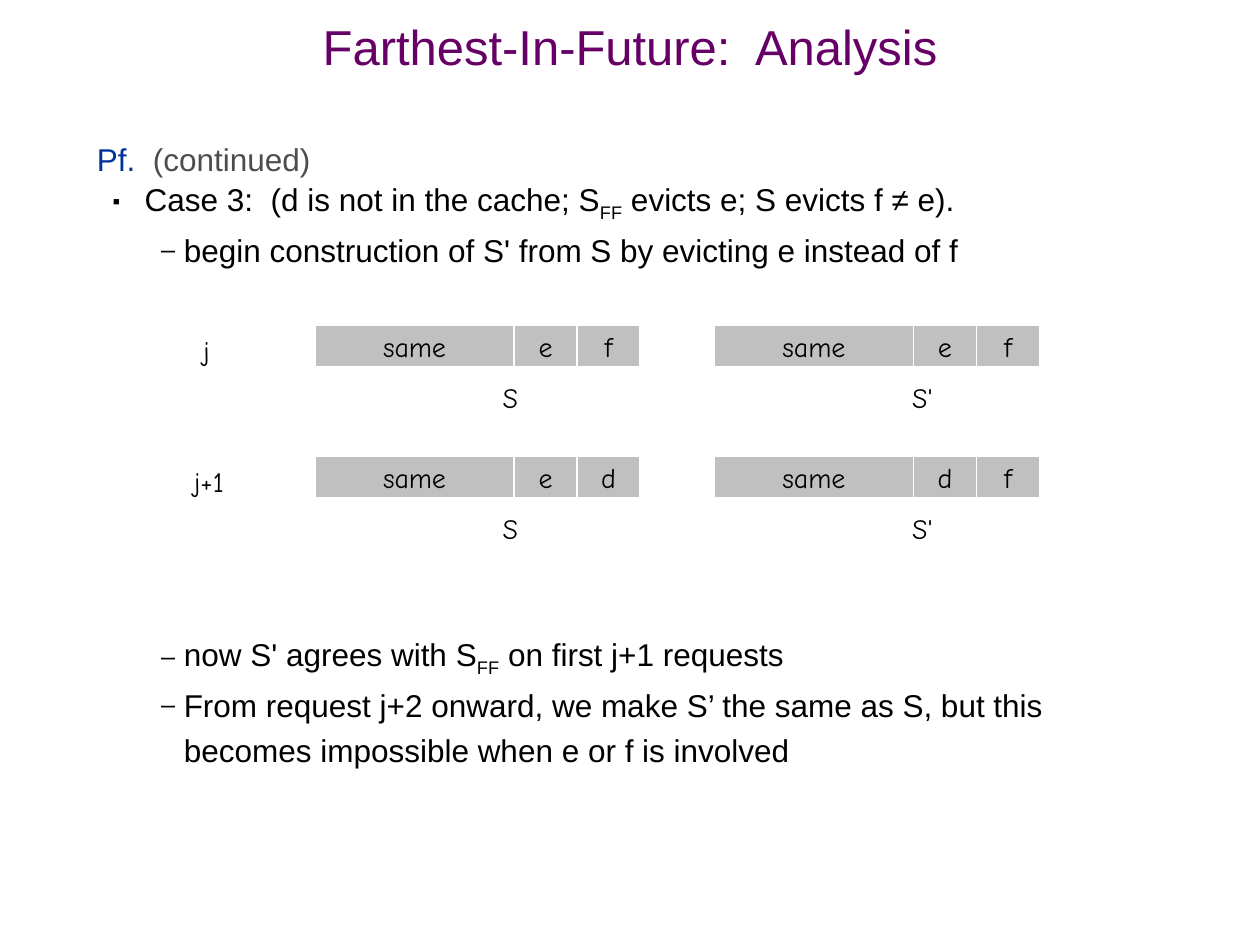
from dataclasses import dataclass

import pptx
import pptx.dml.color
import pptx.enum.shapes
import pptx.enum.text
import pptx.oxml.ns
import pptx.util
from lxml import etree
from pptx.util import Inches


def rgb(value):
    return pptx.dml.color.RGBColor.from_string(value)


@dataclass(frozen=True)
class Theme:
    body_font: str = "Arial"
    diagram_font: str = "Comic Neue"
    title_size: int = 28
    body_size: int = 18
    diagram_size: int = 16
    line_spacing: int = 26
    title: str = "660066"
    keyword: str = "003399"
    muted: str = "4D4D4D"
    text: str = "000000"
    cell: str = "C0C0C0"
    white: str = "FFFFFF"


THEME = Theme()

# Bullet character, size in percent, left margin and first-line indent in inches
CASE_BULLET = ("■", 35, 0.38, -0.25)
STEP_BULLET = ("–", 80, 0.69, -0.18)

CELL_WIDTHS = (1.58, 0.5, 0.5)
CELL_HEIGHT = 0.33
LABEL_HEIGHT = 0.41
LABEL_DROP = 0.39


def format_run(run, font, size, color):
    run.font.name = font
    run.font.size = pptx.util.Pt(size)
    run.font.color.rgb = rgb(color)


def set_diagram_text(shape, text):
    shape.text_frame.text = text
    shape.text_frame.word_wrap = False
    format_run(shape.text_frame.paragraphs[0].runs[0],
               THEME.diagram_font, THEME.diagram_size, THEME.text)


def add_title(slide, text):
    title = slide.shapes.title
    title.left, title.top = Inches(0), Inches(0.17)
    title.width, title.height = Inches(10), Inches(0.5)
    title.text_frame.text = text
    title.text_frame.auto_size = pptx.enum.text.MSO_AUTO_SIZE.NONE
    title.text_frame.vertical_anchor = pptx.enum.text.MSO_ANCHOR.MIDDLE
    paragraph = title.text_frame.paragraphs[0]
    paragraph.alignment = pptx.enum.text.PP_ALIGN.CENTER
    paragraph.line_spacing = 0.7
    format_run(paragraph.runs[0], THEME.body_font, THEME.title_size, THEME.title)


def set_bullet(paragraph, bullet):
    character, percent, margin, indent = bullet
    qn = pptx.oxml.ns.qn
    properties = paragraph._p.get_or_add_pPr()
    properties.set("marL", str(Inches(margin)))
    properties.set("indent", str(Inches(indent)))
    color = etree.SubElement(properties, qn("a:buClr"))
    etree.SubElement(color, qn("a:srgbClr"), val=THEME.text)
    etree.SubElement(properties, qn("a:buSzPct"), val=str(percent * 1000))
    etree.SubElement(properties, qn("a:buFont"), typeface=THEME.body_font)
    etree.SubElement(properties, qn("a:buChar"), char=character)


def write_paragraph(paragraph, parts, bullet=None, lines_before=0):
    """Write (text, color, is_subscript) parts as the runs of one paragraph."""
    paragraph.line_spacing = pptx.util.Pt(THEME.line_spacing)
    paragraph.space_before = pptx.util.Pt(lines_before * THEME.line_spacing)
    if bullet:
        set_bullet(paragraph, bullet)
    for text, color, is_subscript in parts:
        run = paragraph.add_run()
        run.text = text
        format_run(run, THEME.body_font, THEME.body_size, color)
        if is_subscript:
            run.font._element.set("baseline", "-25000")


def plain(text):
    return (text, THEME.text, False)


def add_proof(slide):
    subscript = ("FF", THEME.text, True)
    proof = [
        ([("Pf.  ", THEME.keyword, False), ("(continued)", THEME.muted, False)],),
        ([plain("Case 3:  (d is not in the cache; S"), subscript,
          plain(" evicts e; S evicts f ≠ e).")], CASE_BULLET),
        ([plain("begin construction of S' from S by evicting e instead of f")],
         STEP_BULLET),
        ([plain("now S' agrees with S"), subscript,
          plain(" on first j+1 requests")], STEP_BULLET, 8),
        ([plain("From request j+2 onward, we make S’ the same as S, but this "
                "becomes impossible when e or f is involved")], STEP_BULLET),
    ]
    box = slide.shapes.add_textbox(Inches(0.67), Inches(1), Inches(8.58), Inches(5.92))
    frame = box.text_frame
    frame.word_wrap = True
    for index, content in enumerate(proof):
        paragraph = frame.add_paragraph() if index else frame.paragraphs[0]
        write_paragraph(paragraph, *content)


def add_label(slide, text, left, top, width):
    box = slide.shapes.add_textbox(Inches(left), Inches(top),
                                   Inches(width), Inches(LABEL_HEIGHT))
    set_diagram_text(box, text)
    return box


def add_step_label(slide, text, top, width):
    box = add_label(slide, text, 1.44, top, width)
    box.fill.solid()
    box.fill.fore_color.rgb = rgb(THEME.white)


def add_cell(slide, text, left, top, width):
    cell = slide.shapes.add_shape(
        pptx.enum.shapes.MSO_SHAPE.RECTANGLE,
        Inches(left), Inches(top), Inches(width), Inches(CELL_HEIGHT))
    cell.shadow.inherit = False
    cell.fill.solid()
    cell.fill.fore_color.rgb = rgb(THEME.cell)
    cell.line.color.rgb = rgb(THEME.white)
    cell.line.width = pptx.util.Pt(0.75)
    set_diagram_text(cell, text)
    cell.text_frame.vertical_anchor = pptx.enum.text.MSO_ANCHOR.MIDDLE
    cell.text_frame.paragraphs[0].alignment = pptx.enum.text.PP_ALIGN.CENTER


def add_cache(slide, items, left, top):
    for item, width in zip(items, CELL_WIDTHS):
        add_cell(slide, item, left, top, width)
        left += width


def main():
    presentation = pptx.Presentation()
    presentation.slide_width = Inches(10)
    presentation.slide_height = Inches(7.5)
    slide = presentation.slides.add_slide(presentation.slide_layouts[5])

    add_title(slide, "Farthest-In-Future:  Analysis")
    add_proof(slide)

    steps = [
        (" j", 0.42, 2.58, ("same", "e", "f"), ("same", "e", "f")),
        ("j+1", 0.5, 3.62, ("same", "e", "d"), ("same", "d", "f")),
    ]
    for label, label_width, top, schedule, modified_schedule in steps:
        add_step_label(slide, label, top + 0.02, label_width)
        add_cache(slide, schedule, 2.5, top)
        add_label(slide, "S", 3.89, top + LABEL_DROP, 0.36)
        add_cache(slide, modified_schedule, 5.67, top)
        add_label(slide, "S'", 7.14, top + LABEL_DROP, 0.44)

    presentation.save("out.pptx")


if __name__ == "__main__":
    main()
